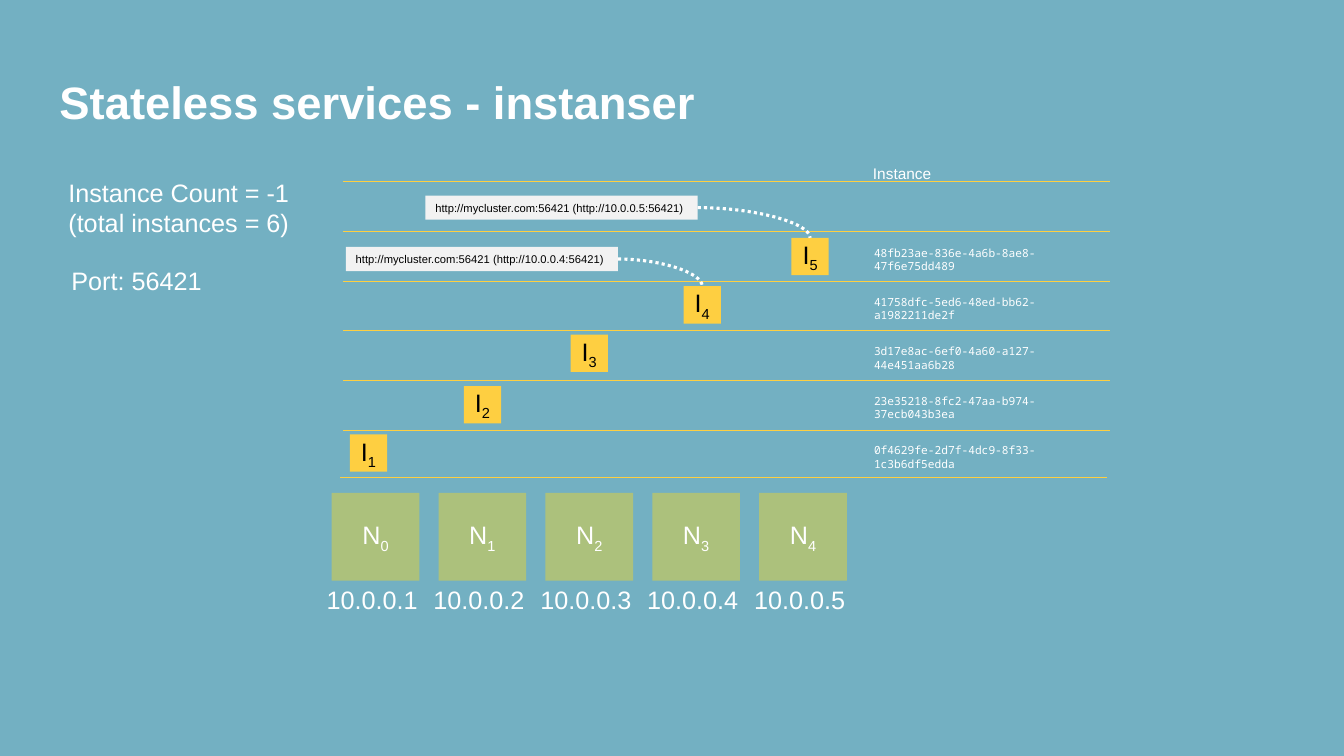
from pptx import Presentation
from pptx.dml.color import RGBColor
from pptx.enum.dml import MSO_LINE
from pptx.enum.shapes import MSO_CONNECTOR, MSO_SHAPE
from pptx.enum.text import MSO_ANCHOR, PP_ALIGN
from pptx.oxml.ns import qn
from pptx.util import Inches, Pt
from lxml import etree

BACKGROUND, WHITE, BLACK = "73B0C2", "FFFFFF", "000000"
YELLOW, GREEN, PALE_GREY = "FECF41", "ACC17C", "F2F2F2"
INSTANCES = [
    (3.47, 4.31, "0f4629fe-2d7f-4dc9-8f33-1c3b6df5edda"),
    (4.6, 3.83, "23e35218-8fc2-47aa-b974-37ecb043b3ea"),
    (5.66, 3.32, "3d17e8ac-6ef0-4a60-a127-44e451aa6b28"),
    (6.78, 2.84, "41758dfc-5ed6-48ed-bb62-a1982211de2f"),
    (7.85, 2.36, "48fb23ae-836e-4a6b-8ae8-47f6e75dd489"),
]
INSTANCE_SIZE = 0.37


def color(value):
    return RGBColor.from_string(value)


def set_font(paragraph, size, text_color, name="Arial", bold=False):
    font = paragraph.font
    font.name, font.size, font.bold = name, Pt(size), bold
    font.color.rgb = color(text_color)


def add_text(slide, box, lines, size, name="Arial", bold=False, wrap=False):
    text_box = slide.shapes.add_textbox(*map(Inches, box))
    frame = text_box.text_frame
    frame.word_wrap = wrap
    frame.text = "\n".join(lines)
    for paragraph in frame.paragraphs:
        set_font(paragraph, size, WHITE, name, bold)
    return frame


def add_rectangle(slide, box, fill):
    shape = slide.shapes.add_shape(MSO_SHAPE.RECTANGLE, *map(Inches, box))
    shape.shadow.inherit = False
    shape.fill.solid()
    shape.fill.fore_color.rgb = color(fill)
    shape.line.fill.background()
    return shape


def add_indexed_square(slide, left, top, size, letter, index, fill, text_color):
    """Square labelled with a letter and a subscript number."""
    frame = add_rectangle(slide, (left, top, size, size), fill).text_frame
    frame.word_wrap = False
    frame.vertical_anchor = MSO_ANCHOR.MIDDLE
    paragraph = frame.paragraphs[0]
    paragraph.alignment = PP_ALIGN.CENTER
    set_font(paragraph, 18, text_color)
    paragraph.add_run().text = letter
    subscript = paragraph.add_run()
    subscript.text = str(index)
    subscript.font._element.set("baseline", "-25000")


def add_line(slide, kind, start, end, line_color, width):
    connector = slide.shapes.add_connector(kind, *map(Inches, start + end))
    connector.line.color.rgb = color(line_color)
    connector.line.width = Pt(width)
    etree.SubElement(connector._element.spPr, qn("a:effectLst"))
    return connector


def add_heading(slide, box):
    frame = add_text(slide, box, ["Stateless services - instanser"], 32.4, bold=True, wrap=True)
    frame.margin_left = 0
    frame.vertical_anchor = MSO_ANCHOR.BOTTOM
    frame.paragraphs[0].line_spacing = 0.9


def add_settings(slide, left, top):
    add_text(slide, (left, top, 2.41, 0.71), ["Instance Count = -1", "(total instances = 6)"], 18)
    add_text(slide, (left + 0.03, top + 0.87, 1.51, 0.4), ["Port: 56421"], 18)


def add_instances(slide, list_left, list_bottom):
    for index, (left, top, identifier) in enumerate(INSTANCES):
        add_indexed_square(slide, left, top, INSTANCE_SIZE, "I", index + 1, YELLOW, BLACK)
        add_text(slide, (list_left, list_bottom - 0.49 * index, 2.41, 0.24),
                 [identifier], 8, "Noto Sans Mono", wrap=True)
    add_text(slide, (list_left - 0.01, 1.58, 0.78, 0.29), ["Instance"], 11)


def add_nodes(slide, left, top):
    size, step = 0.87, 1.06
    for index in range(5):
        node_left = left + step * index
        add_indexed_square(slide, node_left, top, size, "N", index, GREEN, WHITE)
        add_text(slide, (node_left - 0.15, top + size - 0.01, 1.11, 0.4),
                 [f"10.0.0.{index + 1}"], 18)


def add_row_lines(slide, left, top, width):
    starts = [(left, top + 0.494 * row) for row in range(6)]
    starts.append((left - 0.03, top + 2.94))
    for x, y in starts:
        add_line(slide, MSO_CONNECTOR.STRAIGHT, (x, y), (x + width, y), YELLOW, 0.5)


def add_endpoint(slide, left, top, node):
    """Address label with a dotted curve to the instance on its node."""
    width, height = 2.7, 0.24
    label = add_rectangle(slide, (left, top, width, height), PALE_GREY)
    frame = label.text_frame
    frame.word_wrap = False
    frame.text = f"http://mycluster.com:56421 (http://10.0.0.{node}:56421)"
    frame.paragraphs[0].alignment = PP_ALIGN.LEFT
    set_font(frame.paragraphs[0], 8, BLACK)
    target_left, target_top, _ = INSTANCES[node - 1]
    curve = add_line(slide, MSO_CONNECTOR.CURVE, (left + width, top + height / 2),
                     (target_left + INSTANCE_SIZE / 2, target_top), WHITE, 2.25)
    curve._element.spPr.find(qn("a:prstGeom")).set("prst", "curvedConnector2")
    curve.line.dash_style = MSO_LINE.ROUND_DOT


def main():
    presentation = Presentation()
    presentation.slide_width, presentation.slide_height = Inches(13.33), Inches(7.5)
    slide = presentation.slides.add_slide(presentation.slide_layouts[6])
    slide.background.fill.solid()
    slide.background.fill.fore_color.rgb = color(BACKGROUND)
    add_settings(slide, 0.58, 1.71)
    add_instances(slide, 8.57, 4.35)
    add_nodes(slide, 3.29, 4.89)
    add_row_lines(slide, 3.4, 1.8, 7.61)
    add_endpoint(slide, 4.22, 1.94, 5)
    add_endpoint(slide, 3.43, 2.45, 4)
    add_heading(slide, (0.59, 0.7, 11.9, 0.63))
    presentation.save("out.pptx")


if __name__ == "__main__":
    main()
